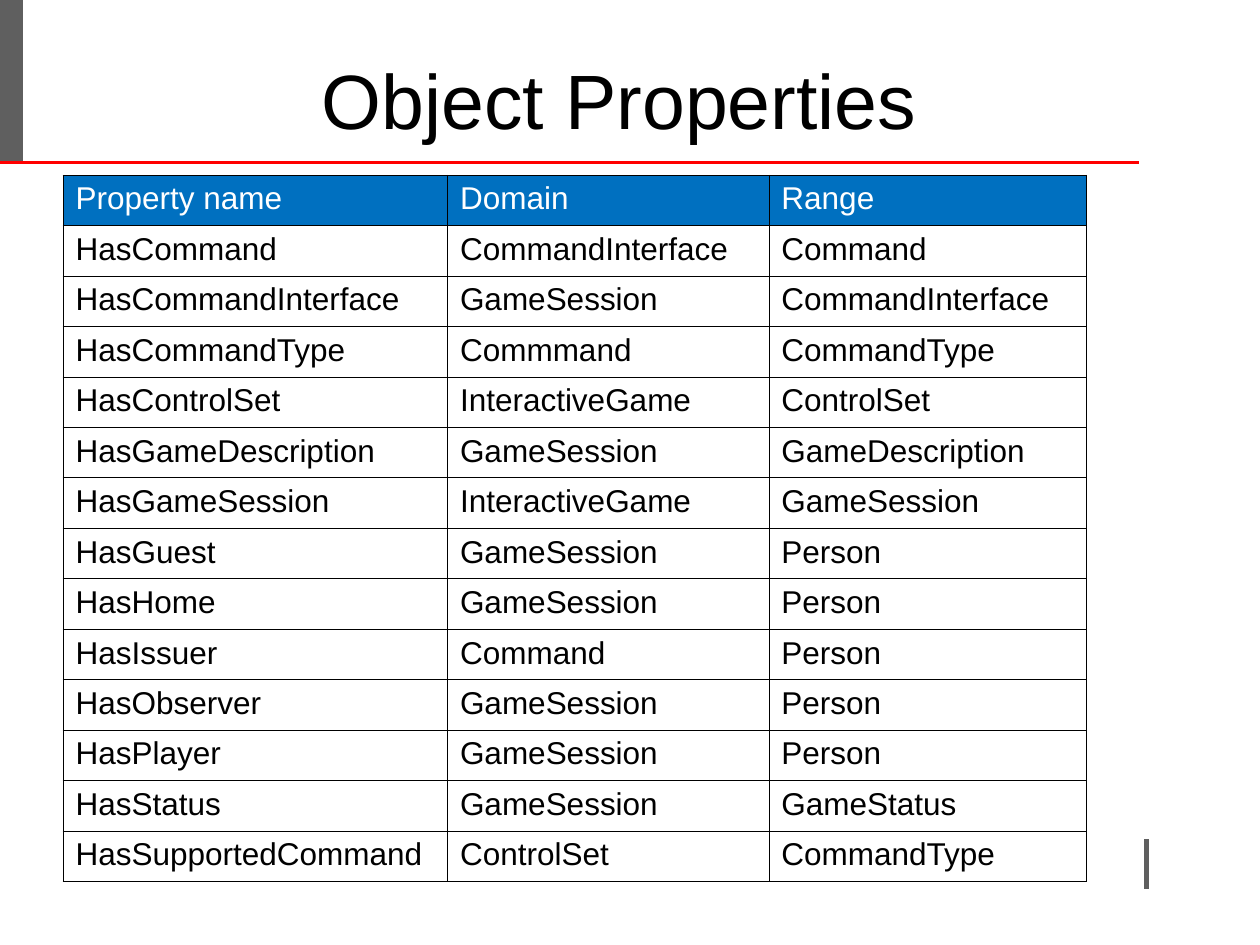
from lxml.etree import SubElement
from pptx import Presentation
from pptx.dml.color import RGBColor
from pptx.enum.shapes import MSO_CONNECTOR
from pptx.enum.text import MSO_ANCHOR, PP_ALIGN
from pptx.oxml.ns import qn
from pptx.util import Cm, Pt

BLACK = RGBColor(0x00, 0x00, 0x00)
WHITE = RGBColor(0xFF, 0xFF, 0xFF)
GRAY = RGBColor(0x5F, 0x5F, 0x5F)
RED = RGBColor(0xFF, 0x00, 0x00)
BLUE = RGBColor(0x00, 0x70, 0xC0)

HEADER = ("Property name", "Domain", "Range")
PROPERTIES = [
    ("HasCommand", "CommandInterface", "Command"),
    ("HasCommandInterface", "GameSession", "CommandInterface"),
    ("HasCommandType", "Commmand", "CommandType"),
    ("HasControlSet", "InteractiveGame", "ControlSet"),
    ("HasGameDescription", "GameSession", "GameDescription"),
    ("HasGameSession", "InteractiveGame", "GameSession"),
    ("HasGuest", "GameSession", "Person"),
    ("HasHome", "GameSession", "Person"),
    ("HasIssuer", "Command", "Person"),
    ("HasObserver", "GameSession", "Person"),
    ("HasPlayer", "GameSession", "Person"),
    ("HasStatus", "GameSession", "GameStatus"),
    ("HasSupportedCommand", "ControlSet", "CommandType"),
]


def write_text(tf, text, size=18, color=BLACK, font="Arial", align=PP_ALIGN.LEFT):
    p = tf.paragraphs[0]
    p.alignment = align
    r = p.add_run()
    r.text = text
    r.font.name = font
    r.font.size = Pt(size)
    r.font.color.rgb = color


def set_borders(cell, color, width):
    tc_pr = cell._tc.get_or_add_tcPr()
    for side in ("a:lnL", "a:lnR", "a:lnT", "a:lnB"):
        ln = SubElement(tc_pr, qn(side), w=str(Pt(width)))
        fill = SubElement(ln, qn("a:solidFill"))
        SubElement(fill, qn("a:srgbClr"), val=str(color))


class SlideBuilder:
    """Draws elements in one style on the current slide."""

    border_color = BLACK
    border_width = 0.45
    header_fill = BLUE

    def __init__(self, slide):
        self.s = slide

    def line(self, x1, y1, x2, y2, color, width):
        sp = self.s.shapes.add_connector(
            MSO_CONNECTOR.STRAIGHT, Cm(x1), Cm(y1), Cm(x2), Cm(y2))
        sp.line.color.rgb = color
        sp.line.width = Pt(width)
        SubElement(sp._element.spPr, qn("a:effectLst"))

    def title(self, text, left, top, width, height):
        sp = self.s.shapes.add_textbox(Cm(left), Cm(top), Cm(width), Cm(height))
        tf = sp.text_frame
        tf.word_wrap = True
        tf.vertical_anchor = MSO_ANCHOR.TOP
        tf.margin_top = Cm(0.29)
        write_text(tf, text, size=44, align=PP_ALIGN.CENTER)

    def table(self, rows, left, top, widths, height):
        frame = self.s.shapes.add_table(
            len(rows), len(widths), Cm(left), Cm(top), Cm(sum(widths)), Cm(height))
        table = frame.table
        table.first_row = table.horz_banding = False
        for column, width in zip(table.columns, widths):
            column.width = Cm(width)
        for i, row in enumerate(rows):
            for j, text in enumerate(row):
                cell = table.cell(i, j)
                set_borders(cell, self.border_color, self.border_width)
                if i == 0:
                    cell.fill.solid()
                    cell.fill.fore_color.rgb = self.header_fill
                else:
                    cell.fill.background()
                write_text(cell.text_frame, text, color=BLACK if i else WHITE)


def main():
    prs = Presentation()
    prs.slide_width, prs.slide_height = Cm(25.4), Cm(19.05)
    slide = SlideBuilder(prs.slides.add_slide(prs.slide_layouts[6]))
    slide.line(23.11, 16.92, 23.11, 17.93, GRAY, 3)
    slide.line(0.23, 0, 0.23, 3.28, GRAY, 13.5)
    slide.line(0, 3.28, 22.96, 3.28, RED, 1.5)
    slide.title("Object Properties ", 1.27, 0.76, 22.86, 3.18)
    slide.table([HEADER, *PROPERTIES], 1.27, 3.53, (7.75, 6.48, 6.4), 14.24)
    prs.save("out.pptx")


if __name__ == "__main__":
    main()
